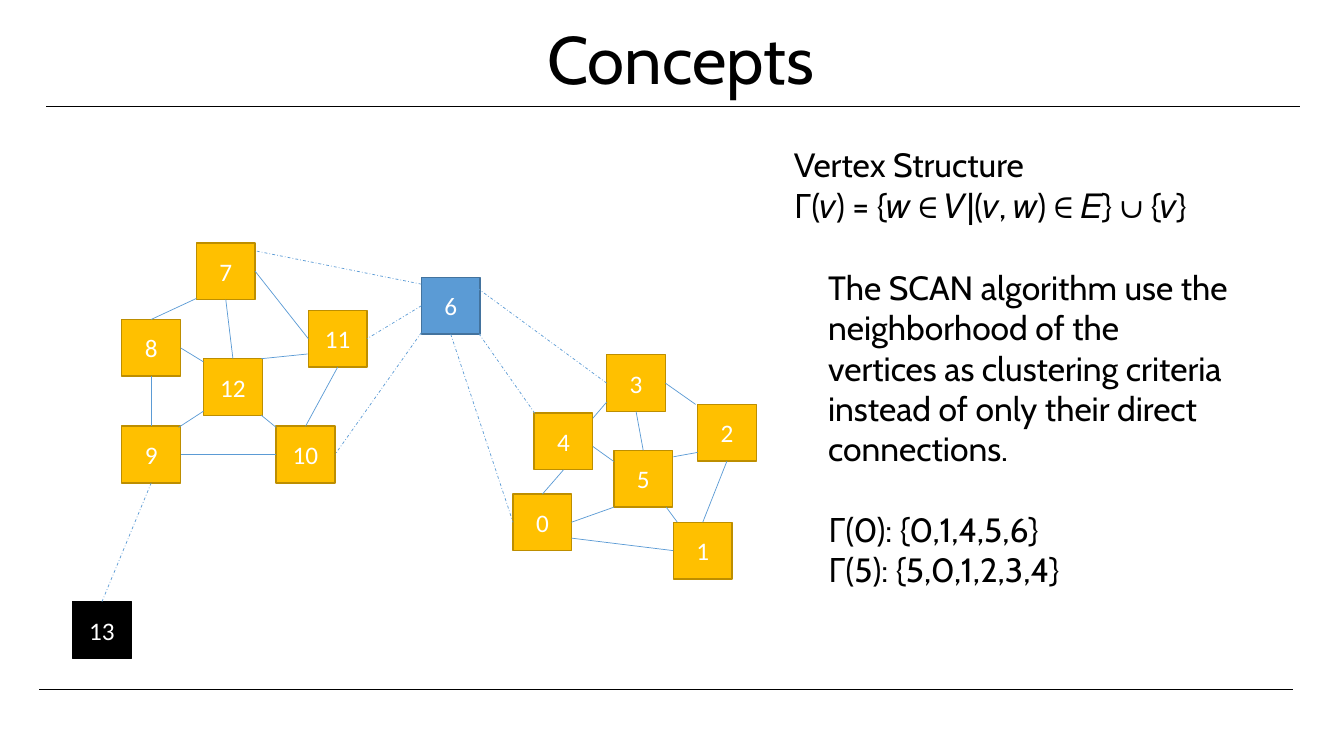
from lxml.etree import SubElement
from pptx import Presentation
from pptx.dml.color import RGBColor
from pptx.enum.dml import MSO_LINE
from pptx.enum.shapes import MSO_CONNECTOR as CONN, MSO_SHAPE as SHAPE
from pptx.enum.text import MSO_ANCHOR as ANCHOR, MSO_AUTO_SIZE as AUTO, PP_ALIGN as ALIGN
from pptx.oxml.ns import qn
from pptx.util import Cm, Pt

BLACK = RGBColor(0, 0, 0)
WHITE = RGBColor(255, 255, 255)
GOLD = RGBColor(0xFF, 0xC0, 0x00)
DARK_GOLD = RGBColor(0xBD, 0x8E, 0x00)
BLUE = RGBColor(0x5B, 0x9B, 0xD5)
DARK_BLUE = RGBColor(0x43, 0x73, 0x9E)

TOP, LEFT, BOTTOM, RIGHT = range(4)
NODE_W, NODE_H = 1.48, 1.43

TITLE = ["Concepts"]
STRUCTURE = ["Vertex Structure", "Γ(𝑣) = {𝑤 ∈ 𝑉|(𝑣, 𝑤) ∈ 𝐸} ∪ {𝑣}"]
EXPLANATION = [
    "The SCAN algorithm use the neighborhood of the",
    "vertices as clustering criteria instead of only their direct",
    "connections.",
]
EXAMPLES = ["Γ(0): {0,1,4,5,6}", "Γ(5): {5,0,1,2,3,4}"]

RULES = [((0.99, 17.37), (32.59, 17.37)), ((1.17, 2.67), (32.77, 2.67))]

NODES = {
    "13": (1.83, 15.16), "12": (5.13, 9.04), "11": (7.77, 7.82), "7": (4.95, 6.12),
    "8": (3.07, 8.05), "9": (3.07, 10.74), "10": (6.96, 10.74), "6": (10.62, 6.99),
    "3": (15.29, 8.94), "4": (13.46, 10.41), "5": (15.47, 11.35), "2": (17.58, 10.19),
    "0": (12.93, 12.45), "1": (16.97, 13.16),
}
NODE_COLORS = {"13": (BLACK, BLACK), "6": (BLUE, DARK_BLUE)}

SOLID_EDGES = [
    (("8", BOTTOM), ("9", TOP)),
    (("9", RIGHT), ("10", LEFT)),
    ((5.13, 10.36), (4.5, 10.77)),
    (("7", BOTTOM), ("12", TOP)),
    (("8", RIGHT), (5.13, 9.12)),
    ((7.75, 8.92), (6.58, 9.04)),
    (("11", BOTTOM), ("10", TOP)),
    (("7", RIGHT), ("11", LEFT)),
    ((6.58, 10.46), (6.96, 10.77)),
    ((4.95, 7.52), ("8", TOP)),
    ((15.47, 12.78), (14.4, 13.16)),
    (("1", LEFT), (14.4, 13.56)),
    (("4", BOTTOM), ("0", TOP)),
    ((15.29, 10.13), (14.94, 10.54)),
    ((15.47, 11.63), (14.94, 11.25)),
    (("2", BOTTOM), ("1", TOP)),
    ((17.07, 13.16), (16.79, 12.78)),
    ((16.97, 11.51), (17.58, 11.4)),
    (("5", TOP), ("3", BOTTOM)),
    ((17.53, 10.19), ("3", RIGHT)),
]
DASHED_EDGES = [
    (("9", BOTTOM), ("13", TOP)),
    ((10.62, 7.16), (6.43, 6.32)),
    (("6", LEFT), ("11", RIGHT)),
    ((10.62, 8.38), ("10", RIGHT)),
    (("3", LEFT), (12.07, 7.29)),
    ((12.07, 8.41), (13.51, 10.46)),
    (("6", BOTTOM), ("0", LEFT)),
]

prs = Presentation()
prs.slide_width, prs.slide_height = Cm(33.87), Cm(19.05)
slide = prs.slides.add_slide(prs.slide_layouts[6])
boxes = {}


def add_run(p, text, size, font, color):
    r = p.add_run()
    r.text = text
    r.font.size, r.font.name = Pt(size), font
    r.font.color.rgb = color


def add_text(lines, x, y, w, h, size, align=ALIGN.LEFT, gap_before=None):
    tf = slide.shapes.add_textbox(Cm(x), Cm(y), Cm(w), Cm(h)).text_frame
    tf.word_wrap = True
    tf.auto_size = AUTO.SHAPE_TO_FIT_TEXT
    for i, line in enumerate(lines):
        p = tf.paragraphs[0] if i == 0 else tf.add_paragraph()
        p.alignment = align
        if i == gap_before:
            p.space_before = Pt(29)
        add_run(p, line, size, "Cabin", BLACK)


def add_node(name, x, y):
    fill, border = NODE_COLORS.get(name, (GOLD, DARK_GOLD))
    sp = slide.shapes.add_shape(SHAPE.RECTANGLE, Cm(x), Cm(y), Cm(NODE_W), Cm(NODE_H))
    sp.shadow.inherit = False
    sp.fill.solid()
    sp.fill.fore_color.rgb = fill
    sp.line.color.rgb = border
    sp.line.width = Pt(1)
    tf = sp.text_frame
    tf.vertical_anchor = ANCHOR.MIDDLE
    p = tf.paragraphs[0]
    p.alignment = ALIGN.CENTER
    add_run(p, name, 18, "Calibri", WHITE)
    boxes[name] = sp


def locate(end):
    if end[0] not in NODES:
        return end
    name, side = end
    x, y = NODES[name]
    dx, dy = ((0.5, 0), (0, 0.5), (0.5, 1), (1, 0.5))[side]
    return x + dx * NODE_W, y + dy * NODE_H


def add_line(start, end, color, dash=None):
    (x1, y1), (x2, y2) = locate(start), locate(end)
    line = slide.shapes.add_connector(CONN.STRAIGHT, Cm(x1), Cm(y1), Cm(x2), Cm(y2))
    line.line.color.rgb = color
    line.line.width = Pt(0.5)
    if dash:
        line.line.dash_style = dash
    SubElement(line.element.spPr, qn("a:effectLst"))
    for point, connect in ((start, line.begin_connect), (end, line.end_connect)):
        if point[0] in boxes:
            connect(boxes[point[0]], point[1])


add_text(TITLE, 1.37, 0.3, 31.57, 2.31, 48, ALIGN.CENTER)
for start, end in RULES:
    add_line(start, end, BLACK)
for name, (x, y) in NODES.items():
    add_node(name, x, y)
for edges, dash in ((SOLID_EDGES, None), (DASHED_EDGES, MSO_LINE.DASH_DOT)):
    for start, end in edges:
        add_line(start, end, BLUE, dash)
add_text(EXPLANATION + EXAMPLES, 20.62, 6.6, 11.53, 9.5, 24, gap_before=len(EXPLANATION))
add_text(STRUCTURE, 19.76, 3.51, 12.52, 2.31, 24)

prs.save("out.pptx")
